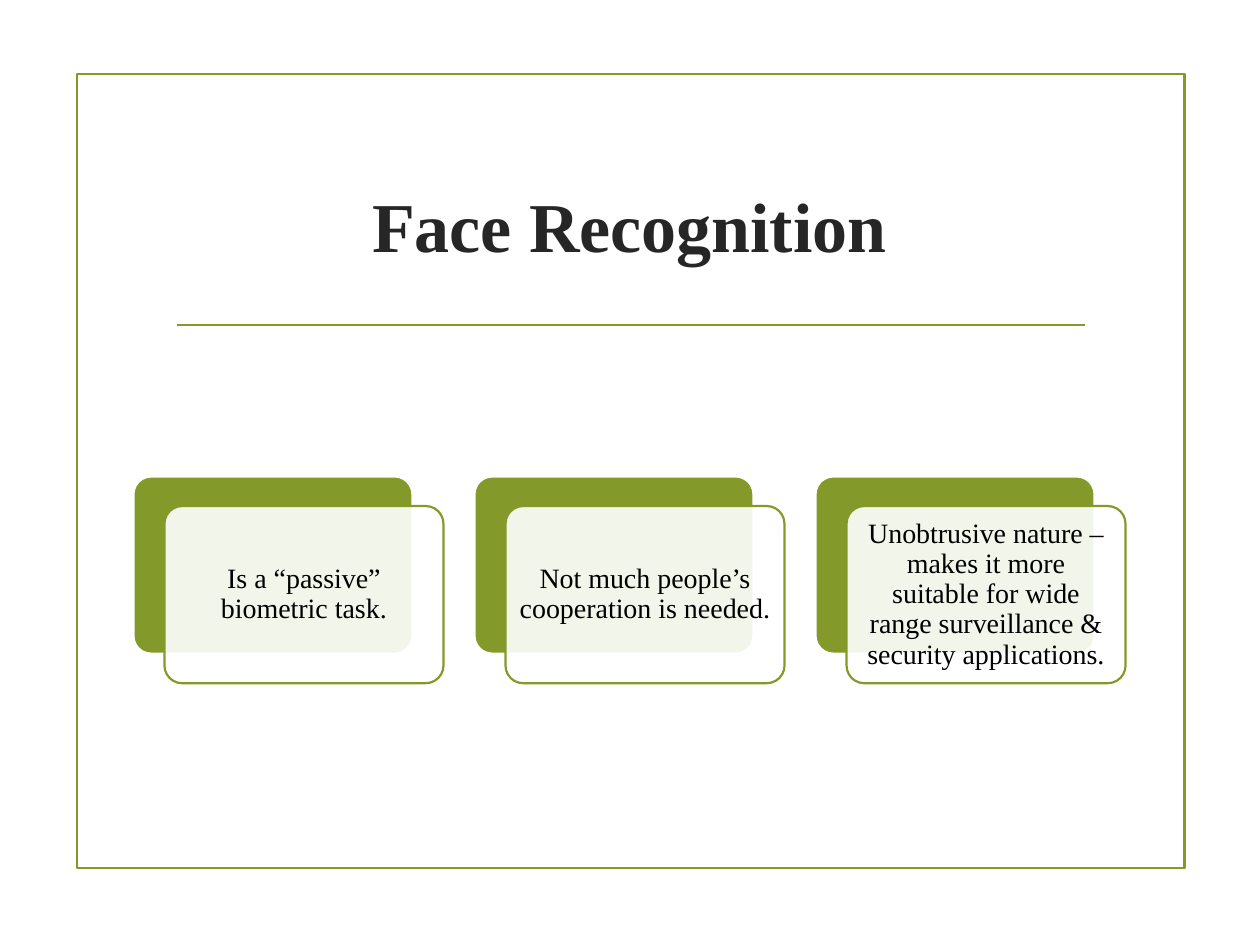
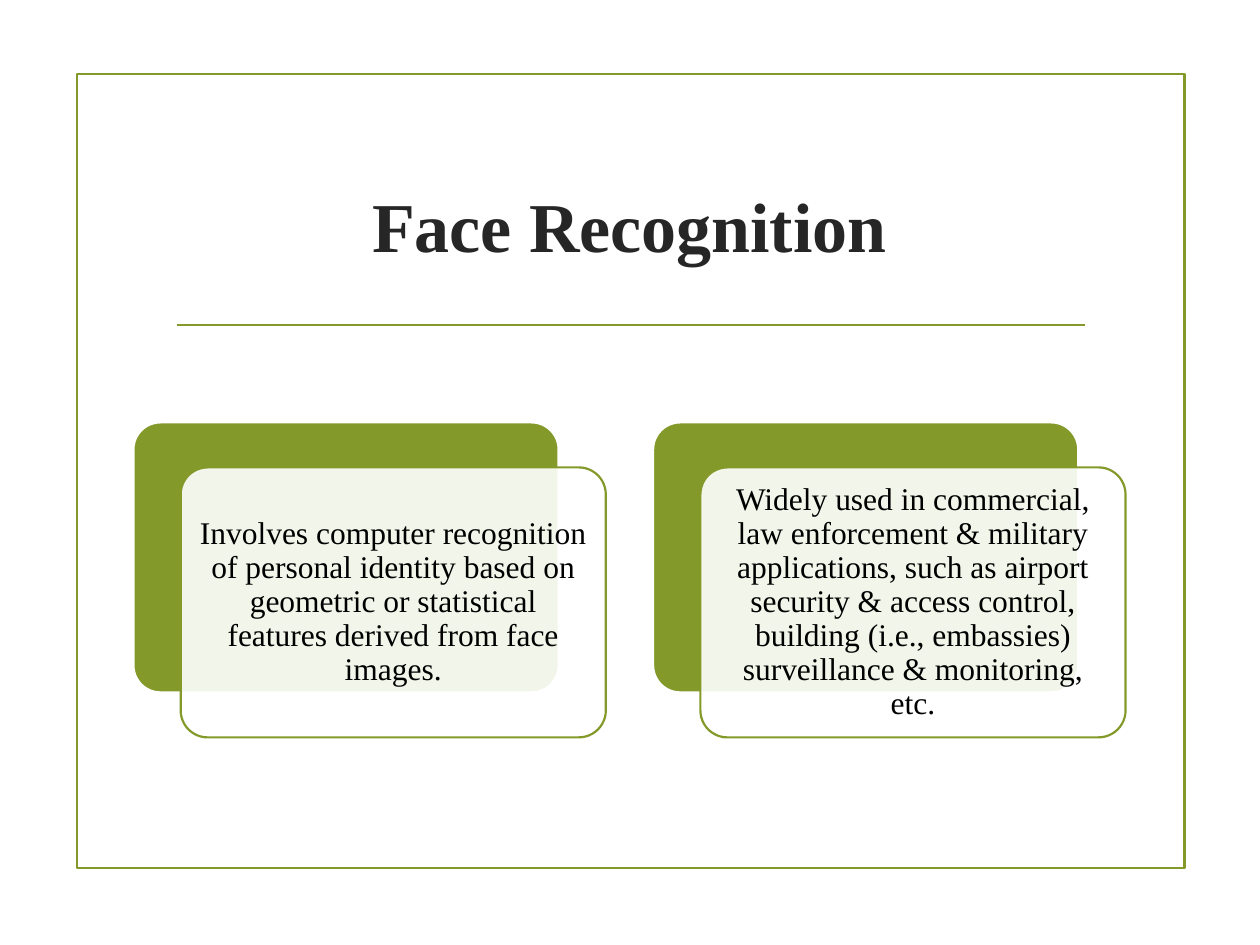
from lxml import etree
from pptx import Presentation
from pptx.dml.color import RGBColor
from pptx.enum import shapes, text
from pptx.oxml.ns import qn
from pptx.util import Cm, Pt

SLIDES = [
    {
        "title": "Face Recognition",
        "size": 16,
        "cards": [
            "Is a “passive” biometric task.",
            "Not much people’s cooperation is needed.",
            "Unobtrusive nature – makes it more suitable for wide range "
            "surveillance & security applications.",
        ],
    },
    {
        "title": "Face Recognition",
        "size": 18,
        "cards": [
            "Involves computer recognition of personal identity based on "
            "geometric or statistical features derived from face images.",
            "Widely used in commercial, law enforcement & military "
            "applications, such as airport security & access control, "
            "building (i.e., embassies) surveillance & monitoring, etc.",
        ],
    },
]

GREEN, WHITE, BLACK, CHARCOAL = "83992A", "FFFFFF", "000000", "262626"
FONT = "Times New Roman"
LINE_WIDTH = 1.25

FRAME = (1.55, 1.5, 22.33, 16)
RULE = (3.56, 6.55, 21.87, 6.55)
TITLE = (2.69, 2.72, 20, 3.63)
ROW_LEFT, ROW_WIDTH, ROW_MIDDLE = 2.69, 20, 11.69
HEIGHT_RATIO = 0.635
SHIFT_X = 1 / 9
SHIFT_Y = HEIGHT_RATIO / 6
CARD_INSET = 0.17


def rgb(value):
    return RGBColor.from_string(value)


def apply(target, formats):
    for name, value in formats.items():
        setattr(target, name, value)


def style_line(line, colour):
    line.color.rgb = rgb(colour)
    line.width = Pt(LINE_WIDTH)


def style_text(frame, wording, size, colour, bold=False):
    frame.text = wording
    apply(frame, {"word_wrap": True, "vertical_anchor": text.MSO_ANCHOR.MIDDLE})
    paragraph = frame.paragraphs[0]
    paragraph.alignment = text.PP_ALIGN.CENTER
    apply(paragraph.font, {"name": FONT, "size": Pt(size), "bold": bold})
    paragraph.font.color.rgb = rgb(colour)
    return paragraph


def add_box(slide, kind, place, line, fill=None, opacity=100):
    box = slide.shapes.add_shape(kind, *map(Cm, place))
    box.shadow.inherit = False
    style_line(box.line, line)
    if fill is None:
        box.fill.background()
        return box
    box.fill.solid()
    box.fill.fore_color.rgb = rgb(fill)
    if opacity < 100:
        colour = box.fill._xPr.find(qn("a:solidFill"))[0]
        etree.SubElement(colour, qn("a:alpha"), val=str(opacity * 1000))
    return box


def add_rounded(slide, place, line, fill, opacity=100):
    box = add_box(slide, shapes.MSO_SHAPE.ROUNDED_RECTANGLE, place, line, fill, opacity)
    box.adjustments[0] = 0.1
    return box


def add_base(prs, title):
    slide = prs.slides.add_slide(prs.slide_layouts[5])
    add_box(slide, shapes.MSO_SHAPE.RECTANGLE, FRAME, GREEN)
    rule = slide.shapes.add_connector(shapes.MSO_CONNECTOR.STRAIGHT, *map(Cm, RULE))
    style_line(rule.line, GREEN)
    etree.SubElement(rule._element.spPr, qn("a:effectLst"))
    heading = slide.shapes.title
    apply(heading, dict(zip(("left", "top", "width", "height"), map(Cm, TITLE))))
    style_text(heading.text_frame, title, 40, CHARCOAL, bold=True)
    return slide


def add_cards(slide, cards, size):
    count = len(cards)
    width = ROW_WIDTH / (count + (2 * count - 1) * SHIFT_X)
    height = width * HEIGHT_RATIO
    shift_x, shift_y = width * SHIFT_X, width * SHIFT_Y
    top = ROW_MIDDLE - (height + shift_y) / 2
    for index, wording in enumerate(cards):
        left = ROW_LEFT + index * (width + 2 * shift_x)
        add_rounded(slide, (left, top, width, height), WHITE, GREEN)
        card = add_rounded(
            slide, (left + shift_x, top + shift_y, width, height), GREEN, WHITE, 90
        )
        sides = ("margin_left", "margin_top", "margin_right", "margin_bottom")
        apply(card.text_frame, dict.fromkeys(sides, Cm(CARD_INSET)))
        style_text(card.text_frame, wording, size, BLACK).line_spacing = 0.9


def main():
    prs = Presentation()
    apply(prs, {"slide_width": Cm(25.4), "slide_height": Cm(19.05)})
    for content in SLIDES:
        slide = add_base(prs, content["title"])
        add_cards(slide, content["cards"], content["size"])
    prs.save("out.pptx")


if __name__ == "__main__":
    main()
